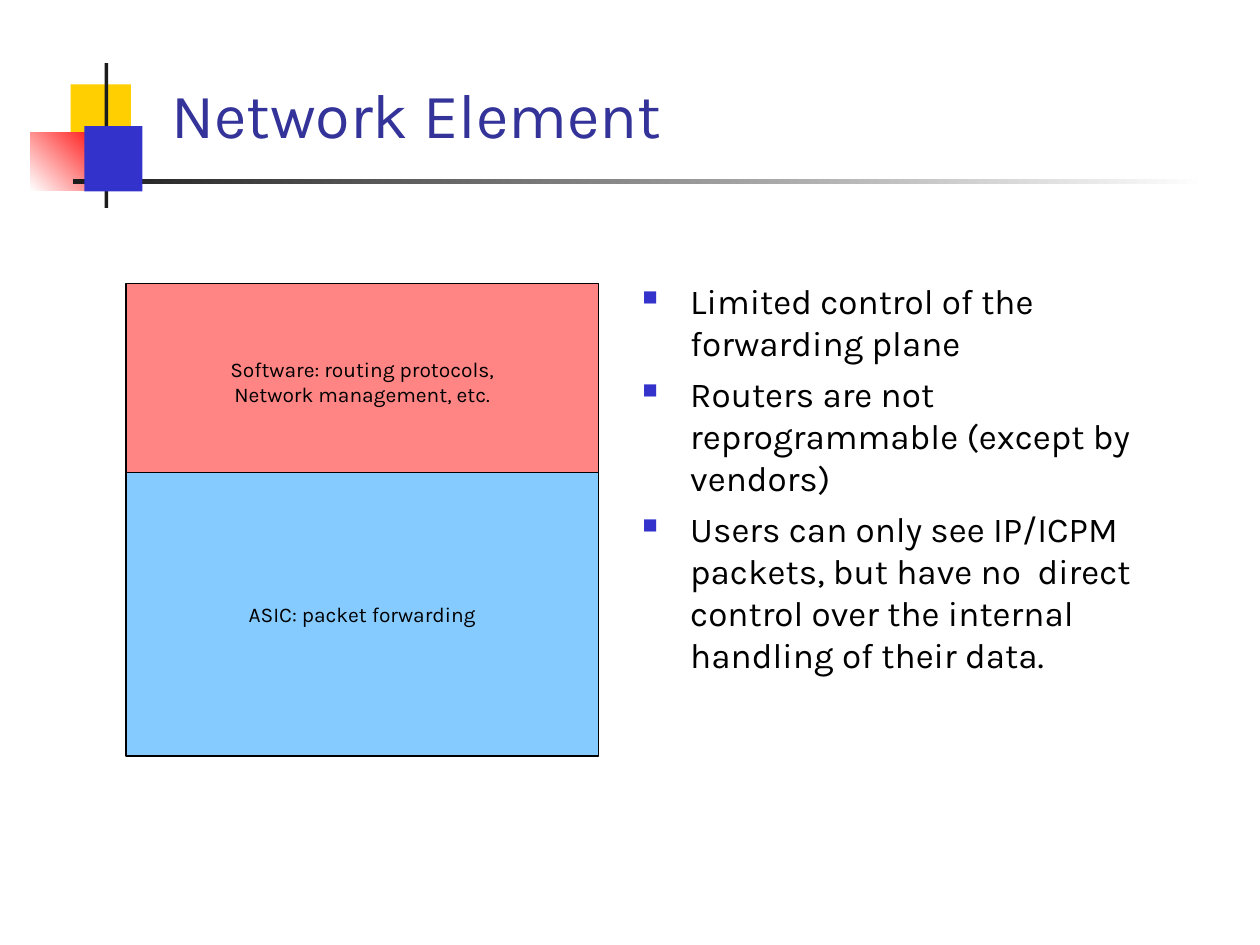
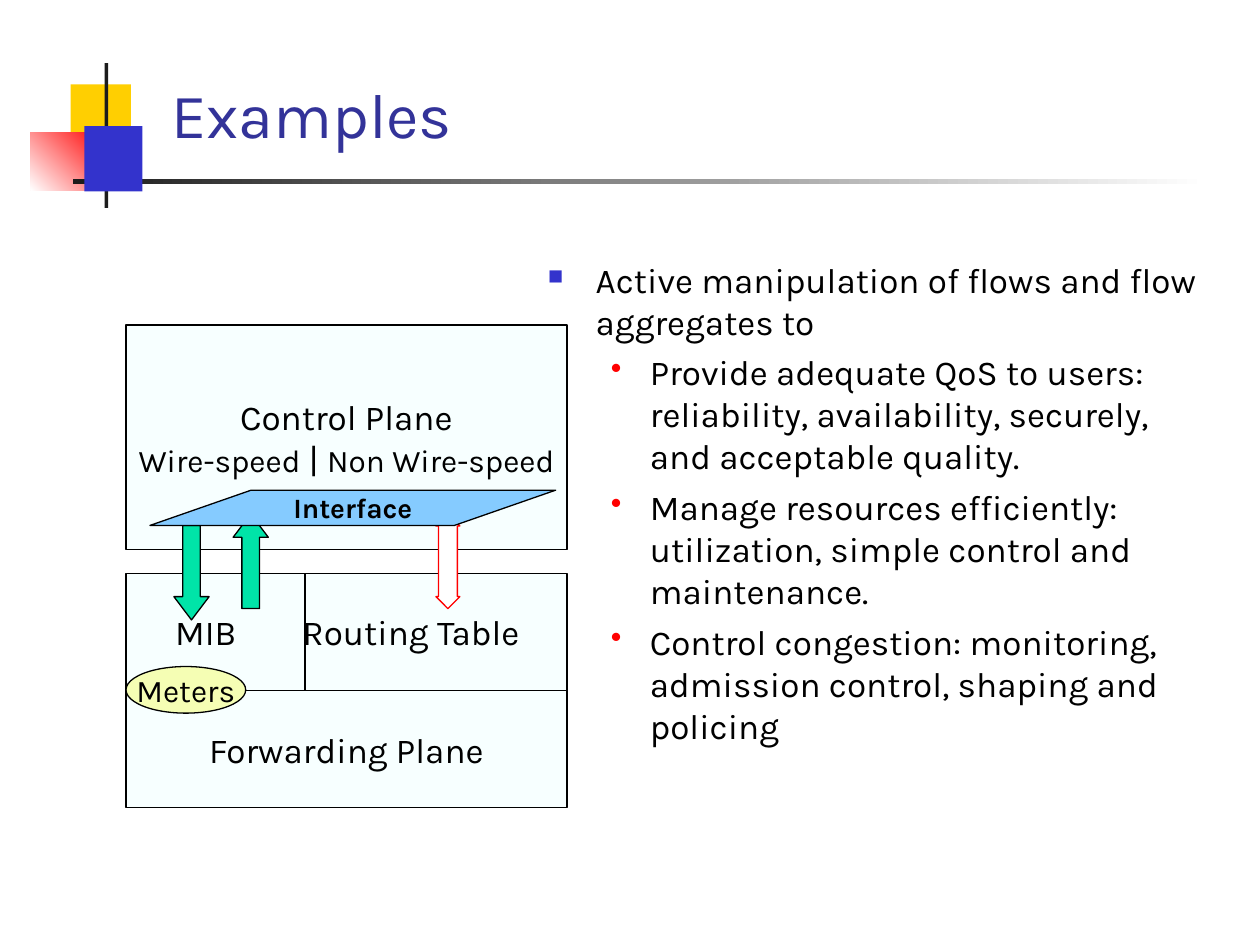
from lxml import etree
from pptx import Presentation
from pptx import util as u
from pptx.dml import color
from pptx.enum import shapes, text
from pptx.oxml import ns

FONT = "Karla"
BLACK, DARK, WHITE, RED = "000000", "1C1C1C", "FFFFFF", "FF0000"
YELLOW, BLUE, TITLE_BLUE = "FFCF01", "3333CC", "333399"
SALMON, SKY, PALE = "FF8585", "85CBFF", "F7FFFF"
GREEN, CREAM = "00E4A8", "F5FEB4"
SHAPE = shapes.MSO_SHAPE
BULLETS = [("■", BLUE, 60, 0.38, 0.38), ("•", RED, 90, 0.81, 0.31)]


def rgb(value):
    return color.RGBColor.from_string(value)


def inches(values):
    return [u.Inches(value) for value in values]


def style_font(font, size, tint=BLACK, bold=False):
    font.name = FONT
    font.size = u.Pt(size)
    font.bold = bold
    font.color.rgb = rgb(tint)


def add_box(page, kind, place, fill, line=None, adjustments=()):
    box = page.shapes.add_shape(kind, *inches(place))
    box.shadow.inherit = False
    box.fill.solid()
    box.fill.fore_color.rgb = rgb(fill)
    if line:
        box.line.color.rgb = rgb(line)
        box.line.width = u.Pt(0.75)
    else:
        box.line.fill.background()
    for index, value in enumerate(adjustments):
        box.adjustments[index] = value
    return box


def add_gradient(page, place, start, end, angle):
    box = add_box(page, SHAPE.RECTANGLE, place, start)
    box.fill.gradient()
    box.fill.gradient_angle = angle
    for stop, tint in zip(box.fill.gradient_stops, (start, end)):
        stop.color.rgb = rgb(tint)


def write_label(box, lines, size, bold=False):
    frame = box.text_frame
    frame.word_wrap = False
    frame.vertical_anchor = text.MSO_ANCHOR.MIDDLE
    for index, line in enumerate(lines):
        para = frame.add_paragraph() if index else frame.paragraphs[0]
        para.alignment = text.PP_ALIGN.CENTER
        style_font(para.font, size, bold=bold)
        spans = [(line, size)] if isinstance(line, str) else line
        for words, span_size in spans:
            span = para.add_run()
            span.text = words
            if span_size != size:
                span.font.size = u.Pt(span_size)


def add_labelled(page, kind, place, fill, lines, size, bold=False, adjustments=()):
    box = add_box(page, kind, place, fill, BLACK, adjustments)
    write_label(box, lines, size, bold)


def add_two_column_box(page, place, fill, left, right, start, tab, size):
    box = add_box(page, SHAPE.RECTANGLE, place, fill, BLACK)
    frame = box.text_frame
    frame.word_wrap = True
    frame.margin_left = u.Inches(start)
    frame.vertical_anchor = text.MSO_ANCHOR.MIDDLE
    para = frame.paragraphs[0]
    para.text = f"{left}\t{right}"
    para.alignment = text.PP_ALIGN.LEFT
    tabs = etree.SubElement(para._p.get_or_add_pPr(), ns.qn("a:tabLst"))
    etree.SubElement(tabs, ns.qn("a:tab"), pos=str(u.Inches(tab)), algn="l")
    style_font(para.font, size)


def add_line(page, start, end):
    line = page.shapes.add_connector(
        shapes.MSO_CONNECTOR.STRAIGHT, *inches(start + end))
    line.line.color.rgb = rgb(BLACK)
    line.line.width = u.Pt(0.75)
    etree.SubElement(line._element.spPr, ns.qn("a:effectLst"))


def set_bullet(para, level):
    mark, tint, percent, margin, hanging = BULLETS[level]
    props = para._p.get_or_add_pPr()
    props.set("marL", str(u.Inches(margin)))
    props.set("indent", str(-u.Inches(hanging)))
    bullet_color = etree.SubElement(props, ns.qn("a:buClr"))
    etree.SubElement(bullet_color, ns.qn("a:srgbClr"), val=tint)
    etree.SubElement(props, ns.qn("a:buSzPct"), val=str(percent * 1000))
    etree.SubElement(props, ns.qn("a:buChar"), char=mark)


def add_bullets(page, place, items):
    frame = page.shapes.add_textbox(*inches(place)).text_frame
    frame.word_wrap = True
    for index, (level, words) in enumerate(items):
        para = frame.add_paragraph() if index else frame.paragraphs[0]
        para.text = words
        para.level = level
        set_bullet(para, level)
        if index:
            para.space_before = u.Pt(5)
        style_font(para.font, 20)


def add_page(deck, title):
    page = deck.slides.add_slide(deck.slide_layouts[6])
    add_box(page, SHAPE.RECTANGLE, (0.56, 0.67, 0.48, 0.52), YELLOW)
    add_gradient(page, (0.24, 1.05, 0.61, 0.46), RED, WHITE, 225)
    add_box(page, SHAPE.RECTANGLE, (0.83, 0.5, 0.03, 1.15), DARK)
    add_gradient(page, (0.58, 1.42, 9, 0.04), WHITE, DARK, 180)
    add_box(page, SHAPE.RECTANGLE, (0.67, 1, 0.46, 0.52), BLUE)
    frame = page.shapes.add_textbox(*inches((1.26, 0.68, 8.52, 0.57))).text_frame
    frame.word_wrap = True
    frame.vertical_anchor = text.MSO_ANCHOR.BOTTOM
    para = frame.paragraphs[0]
    para.text = title
    style_font(para.font, 36, TITLE_BLUE)
    return page


def add_network_element(deck):
    page = add_page(deck, "Network Element")
    add_bullets(page, (5, 2.17, 4.17, 4.5), [
        (0, "Limited control of the forwarding plane"),
        (0, "Routers are not reprogrammable (except by vendors)"),
        (0, "Users can only see IP/ICPM packets, but have no  direct "
            "control over the internal handling of their data."),
    ])
    add_labelled(page, SHAPE.RECTANGLE, (1, 2.25, 3.75, 1.56), SALMON,
                 ["Software: routing protocols,", "Network management, etc."], 12)
    add_labelled(page, SHAPE.RECTANGLE, (1, 3.75, 3.75, 2.25), SKY,
                 ["ASIC: packet forwarding"], 12)


def add_examples(deck):
    page = add_page(deck, "Examples")
    add_bullets(page, (4.25, 2, 5.5, 4.5), [
        (0, "Active manipulation of flows and flow aggregates to"),
        (1, "Provide adequate QoS to users: reliability, availability, "
            "securely, and acceptable quality."),
        (1, "Manage resources efficiently: utilization, simple control "
            "and maintenance."),
        (1, "Control congestion: monitoring, admission control, shaping "
            "and policing"),
    ])
    speeds = [("Wire-speed", 18), (" | ", 20), ("Non Wire-speed", 18)]
    add_labelled(page, SHAPE.RECTANGLE, (1, 2.58, 3.5, 1.78), PALE,
                 ["Control Plane", speeds], 20)
    add_two_column_box(page, (1, 4.55, 3.5, 0.93), PALE,
                       "MIB", "Routing Table", 0.39, 1.01, 20)
    add_line(page, (2.42, 4.55), (2.42, 5.48))
    add_labelled(page, SHAPE.RECTANGLE, (1, 5.48, 3.5, 0.93), PALE,
                 ["Forwarding Plane"], 20)
    add_box(page, SHAPE.DOWN_ARROW, (1.38, 4.17, 0.28, 0.75), GREEN, BLACK,
            (0.5, 0.66))
    add_box(page, SHAPE.UP_ARROW, (1.85, 4.08, 0.28, 0.75), GREEN, BLACK,
            (0.5, 0.66))
    add_labelled(page, SHAPE.OVAL, (1, 5.29, 0.95, 0.37), CREAM, ["Meters"], 18)
    add_box(page, SHAPE.UP_DOWN_ARROW, (3.46, 4.08, 0.19, 0.75), WHITE, RED,
            (0.5, 0.79))
    add_labelled(page, SHAPE.PARALLELOGRAM, (1.19, 3.89, 3.22, 0.28), SKY,
                 ["Interface"], 16, bold=True, adjustments=(2.87,))


def main():
    deck = Presentation()
    deck.slide_width, deck.slide_height = inches((10, 7.5))
    add_network_element(deck)
    add_examples(deck)
    deck.save("out.pptx")


if __name__ == "__main__":
    main()
